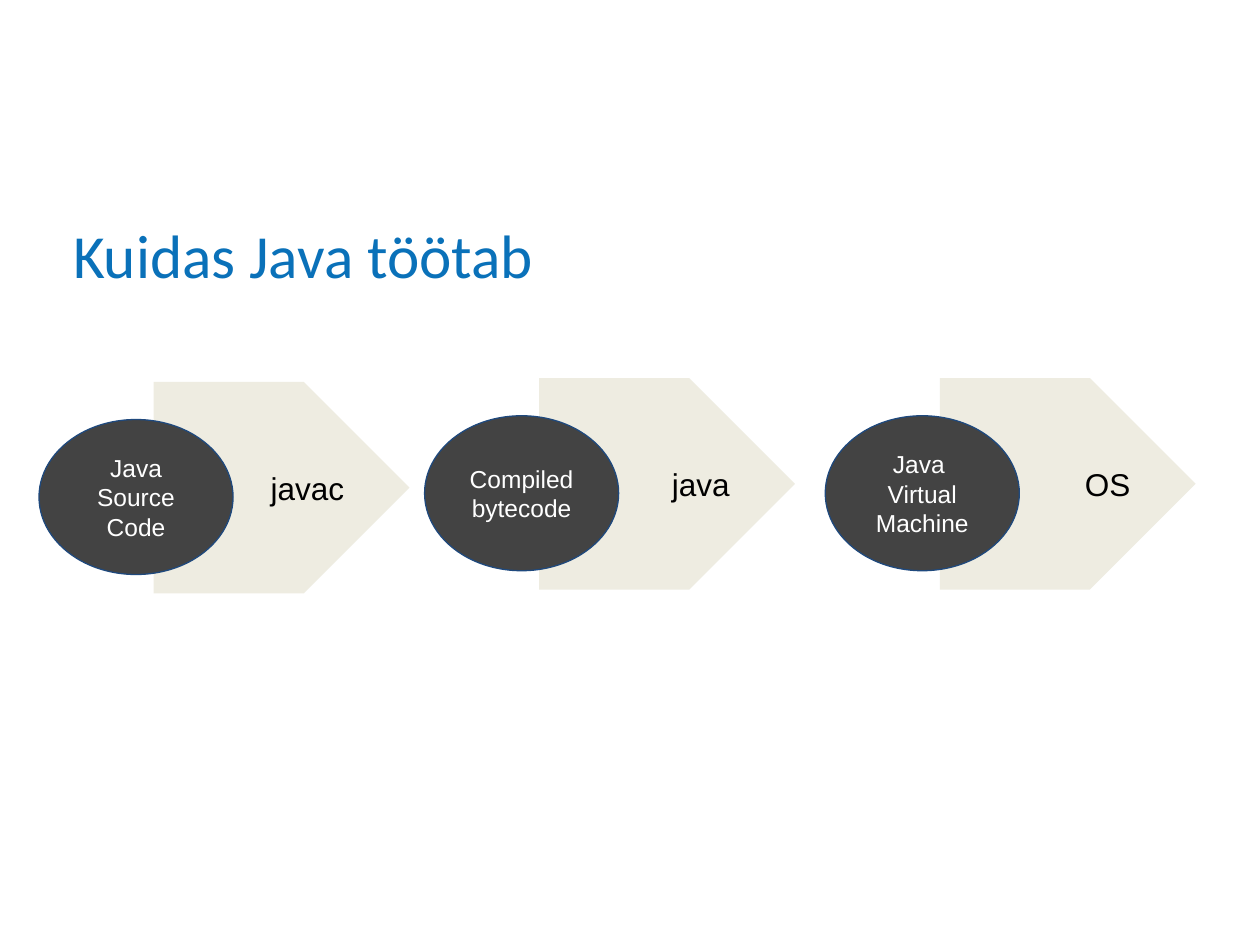
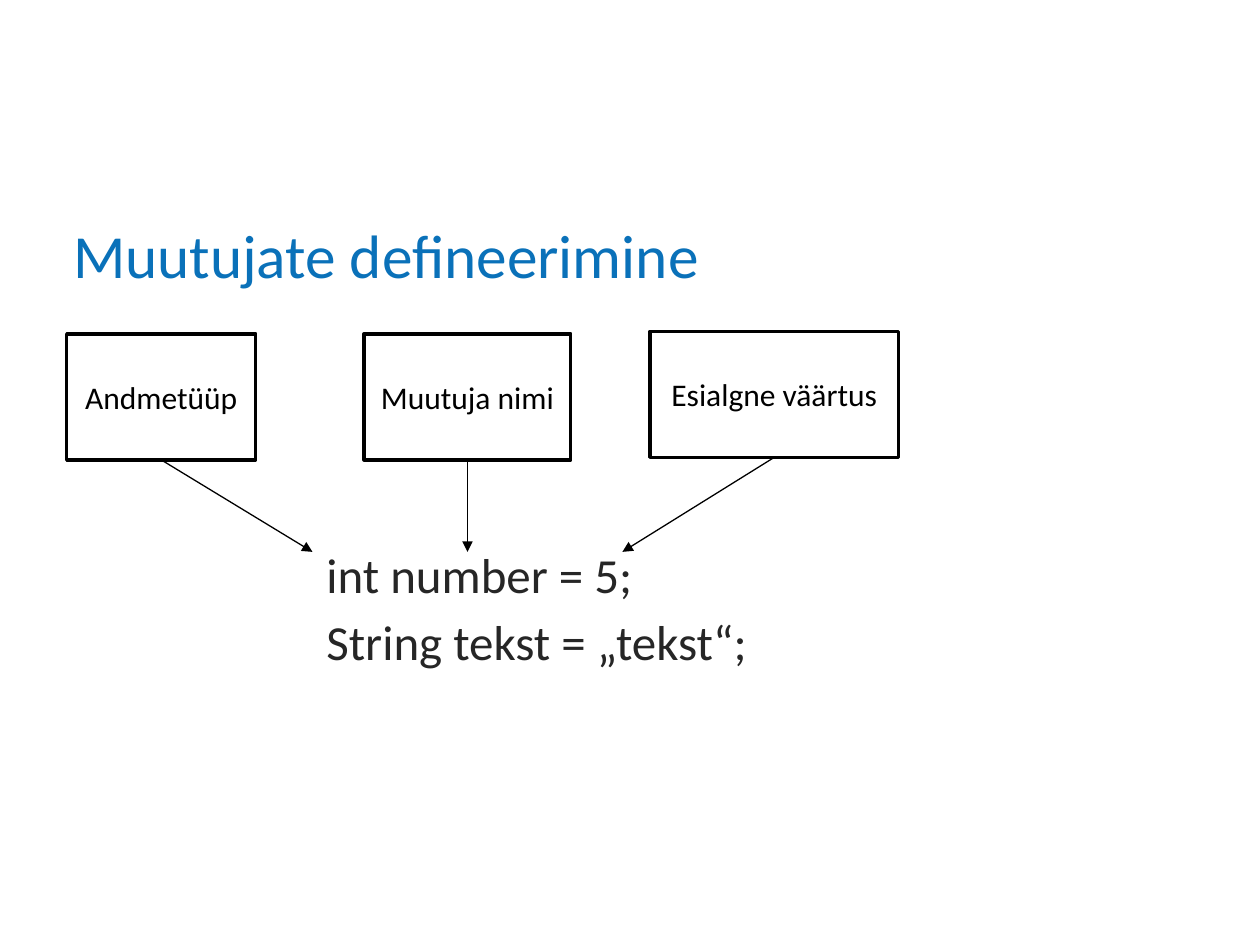
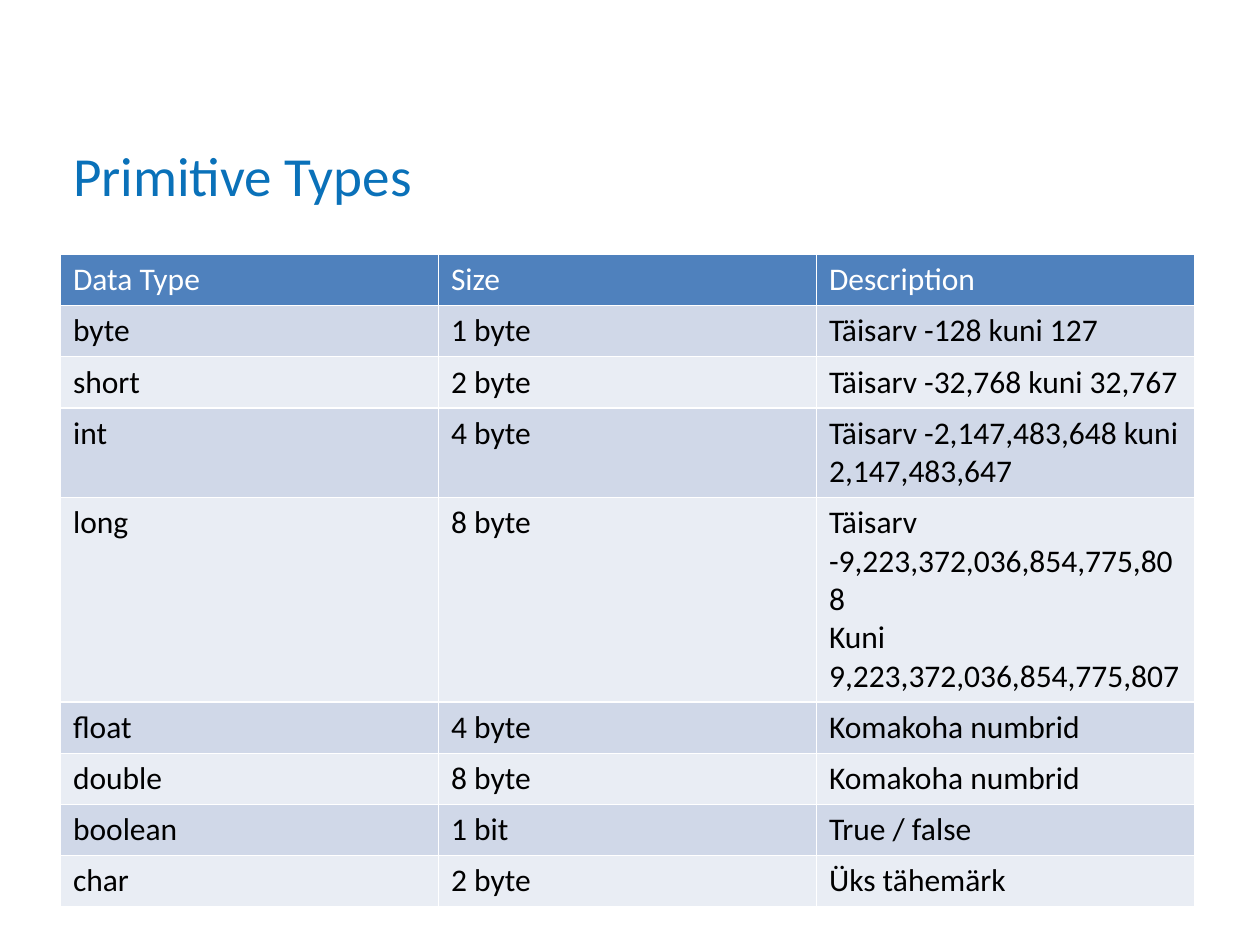
from lxml.etree import SubElement
from pptx import Presentation
from pptx.dml.color import RGBColor
from pptx.enum.shapes import MSO_CONNECTOR, MSO_SHAPE
from pptx.enum.text import MSO_ANCHOR, MSO_AUTO_SIZE, PP_ALIGN
from pptx.oxml import parse_xml
from pptx.oxml.ns import nsdecls, qn
from pptx.util import Inches, Pt

# Colours
WHITE = RGBColor(0xFF, 0xFF, 0xFF)
BLACK = RGBColor(0x00, 0x00, 0x00)
TITLE_BLUE = RGBColor(0x0A, 0x71, 0xB9)
CODE_GREY = RGBColor(0x26, 0x26, 0x26)
SAND = RGBColor(0xEE, 0xEC, 0xE1)
CHARCOAL = RGBColor(0x43, 0x43, 0x43)
NAVY = RGBColor(0x1F, 0x49, 0x7D)
HEADER_BLUE = RGBColor(0x4F, 0x81, 0xBD)
BAND_DARK = RGBColor(0xD0, 0xD8, 0xE8)
BAND_LIGHT = RGBColor(0xE9, 0xED, 0xF4)

# Layouts of the default template
TITLE_AND_BODY, TITLE_ONLY = 1, 5

# Text styles
TITLE = {"name": "Calibri", "size": Pt(35), "color": TITLE_BLUE}
SMALL_TITLE = {**TITLE, "size": Pt(31.5)}
CODE = {"name": "Calibri", "size": Pt(28), "color": CODE_GREY}
LABEL = {"name": "Calibri", "size": Pt(18), "color": BLACK}
HEADER = {**LABEL, "color": WHITE}
TOOL = {"name": "Arial", "size": Pt(18), "color": BLACK}
STAGE = {"name": "Arial", "size": Pt(14), "color": WHITE}

# Left and top of the arrow, text in the oval, text in the arrow
STEPS = [
    (1.22, 3.03, "Java Source Code", "javac"),
    (4.28, 3.0, "Compiled bytecode", "java"),
    (7.46, 3.0, "Java \nVirtual Machine", "OS"),
]

# Left, top, width, text, and the point the arrow leads to
VARIABLE_PARTS = [
    (0.53, 2.65, 1.5, "Andmetüüp", (2.48, 4.38)),
    (2.89, 2.65, 1.64, "Muutuja nimi", (3.71, 4.38)),
    (5.16, 2.63, 1.97, "Esialgne väärtus", (4.94, 4.38)),
]

PRIMITIVE_TYPES = [
    ("Data Type", "Size", "Description"),
    ("byte", "1 byte", "Täisarv -128 kuni 127"),
    ("short", "2 byte", "Täisarv -32,768 kuni 32,767"),
    ("int", "4 byte", "Täisarv -2,147,483,648 kuni\n2,147,483,647"),
    ("long", "8 byte",
     "Täisarv -9,223,372,036,854,775,808\nKuni\n9,223,372,036,854,775,807"),
    ("float", "4 byte", "Komakoha numbrid"),
    ("double", "8 byte", "Komakoha numbrid"),
    ("boolean", "1 bit", "True / false"),
    ("char", "2 byte", "Üks tähemärk"),
]


def write(frame, text, style, align=PP_ALIGN.LEFT):
    """Fill a text frame, one paragraph for each line of text."""
    frame.text = text
    for para in frame.paragraphs:
        para.alignment = align
        for span in para.runs:
            span.font.bold = False
            for key, value in style.items():
                if key == "color":
                    span.font.color.rgb = value
                else:
                    setattr(span.font, key, value)


def place(shape, left, top, width, height):
    bounds = {"left": left, "top": top, "width": width, "height": height}
    for key, value in bounds.items():
        setattr(shape, key, Inches(value))


def add_page(deck, layout, title, style=TITLE, height=1.25):
    """Add a slide with its title at the bottom of the title area."""
    page = deck.slides.add_slide(deck.slide_layouts[layout])
    place(page.shapes.title, 0.48, 1.11, 9, height)
    frame = page.shapes.title.text_frame
    frame.auto_size = MSO_AUTO_SIZE.NONE
    frame.vertical_anchor = MSO_ANCHOR.BOTTOM
    write(frame, title, style)
    return page


def add_box(page, kind, bounds, text, style, fill, line=None, line_width=0.75,
            align=PP_ALIGN.CENTER, inset=0.05):
    """Add a filled shape with text centred in its height."""
    box = page.shapes.add_shape(kind, *map(Inches, bounds))
    box.shadow.inherit = False
    box.fill.solid()
    box.fill.fore_color.rgb = fill
    if line is None:
        box.line.fill.background()
    else:
        box.line.color.rgb = line
        box.line.width = Pt(line_width)
    frame = box.text_frame
    frame.word_wrap = True
    frame.vertical_anchor = MSO_ANCHOR.MIDDLE
    frame.margin_top = frame.margin_bottom = Inches(inset)
    write(frame, text, style, align)
    return box


def add_arrow(page, box, end):
    """Draw an arrow from the bottom centre of a box to a point."""
    arrow = page.shapes.add_connector(
        MSO_CONNECTOR.STRAIGHT, 0, 0, *map(Inches, end))
    arrow.begin_connect(box, 2)
    arrow.line.color.rgb = BLACK
    arrow.line.width = Pt(0.75)
    SubElement(arrow.line._get_or_add_ln(), qn("a:tailEnd"), type="triangle")
    SubElement(arrow._element.spPr, qn("a:effectLst"))


def add_code(page, lines):
    """Write code lines, without bullets, in the body placeholder."""
    body = page.placeholders[1]
    place(body, 0.49, 2.61, 9.01, 4.37)
    frame = body.text_frame
    frame.auto_size = MSO_AUTO_SIZE.NONE
    frame.margin_top = Inches(1.71)
    write(frame, "\n".join(lines), CODE)
    for index, para in enumerate(frame.paragraphs):
        para.space_before = Pt(5 if index else 0)
        properties = para._p.get_or_add_pPr()
        properties.set("marL", str(Inches(2)))
        properties.set("indent", "0")
        SubElement(properties, qn("a:buNone"))


def set_borders(cell):
    properties = cell._tc.get_or_add_tcPr()
    for index, side in enumerate("LRTB"):
        properties.insert(index, parse_xml(
            f'<a:ln{side} {nsdecls("a")} w="{Pt(1)}"><a:solidFill>'
            f'<a:srgbClr val="{WHITE}"/></a:solidFill></a:ln{side}>'))


def add_type_table(page, rows):
    """Add a table with a header row and two alternating bands."""
    row_height = 0.4
    table = page.shapes.add_table(
        len(rows), len(rows[0]), Inches(0.48), Inches(2.02),
        Inches(9), Inches(row_height * len(rows))).table
    for row_index, row in enumerate(rows):
        band = BAND_DARK if row_index % 2 else BAND_LIGHT
        for column_index, text in enumerate(row):
            cell = table.cell(row_index, column_index)
            cell.fill.solid()
            cell.fill.fore_color.rgb = band if row_index else HEADER_BLUE
            set_borders(cell)
            write(cell.text_frame, text, LABEL if row_index else HEADER)


def build_process(deck):
    page = add_page(deck, TITLE_ONLY, "Kuidas Java töötab")
    for left, top, stage, tool in STEPS:
        add_box(page, MSO_SHAPE.PENTAGON, (left, top, 2.03, 1.68), tool, TOOL,
                SAND, align=PP_ALIGN.RIGHT, inset=0.1)
        add_box(page, MSO_SHAPE.FLOWCHART_CONNECTOR,
                (left - 0.91, top + 0.3, 1.54, 1.23), stage, STAGE,
                CHARCOAL, line=NAVY, inset=0.1)


def build_variables(deck):
    page = add_page(deck, TITLE_AND_BODY, "Muutujate defineerimine")
    add_code(page, ["int number = 5;", "String tekst = „tekst“;"])
    for left, top, width, text, target in VARIABLE_PARTS:
        box = add_box(page, MSO_SHAPE.RECTANGLE, (left, top, width, 1), text,
                      LABEL, WHITE, line=BLACK, line_width=2)
        add_arrow(page, box, target)


def build_types(deck):
    page = add_page(deck, TITLE_ONLY, "Primitive Types", SMALL_TITLE, 0.59)
    add_type_table(page, PRIMITIVE_TYPES)


def main():
    deck = Presentation()
    deck.slide_width, deck.slide_height = Inches(10), Inches(7.5)
    build_process(deck)
    build_variables(deck)
    build_types(deck)
    deck.save("out.pptx")


main()
